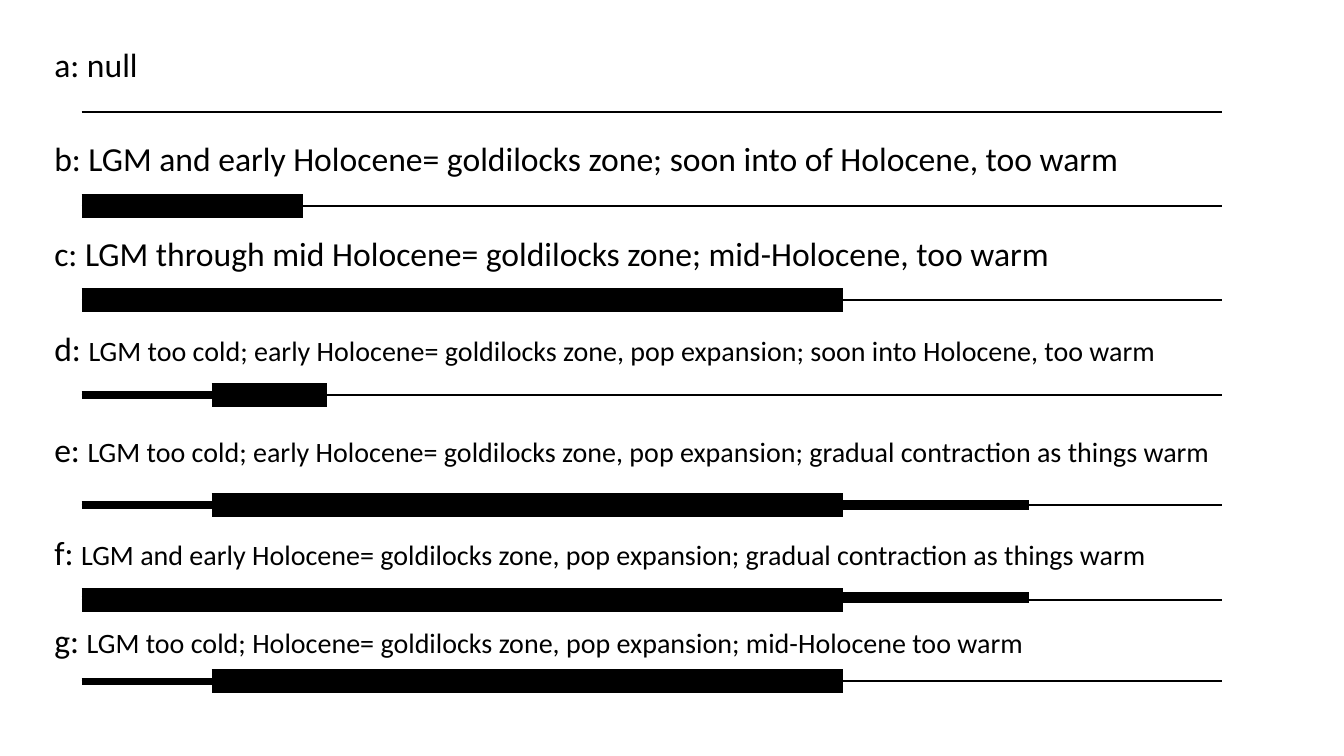
import pptx
import pptx.dml.color
import pptx.enum.shapes
import pptx.enum.text
import pptx.oxml
import pptx.util
from dataclasses import dataclass

Inches = pptx.util.Inches
Pt = pptx.util.Pt


@dataclass(frozen=True)
class Theme:
    font: str = "Calibri"
    ink: pptx.dml.color.RGBColor = pptx.dml.color.RGBColor(0, 0, 0)
    large: int = 24
    small: int = 20
    baseline: float = 1.5
    cold: float = 5.5
    contraction: float = 7.5
    goldilocks: float = 17.25


THEME = Theme()
LEFT, RIGHT = 0.81, 12.12
EARLY, COLD_END, MID, LATE = 2.1, 3.01, 8.36, 10.21

BASE = (LEFT, RIGHT, THEME.baseline, 0)
COLD = (LEFT, COLD_END, THEME.cold, 0)
WARM_EARLY = (LEFT, COLD_END, THEME.goldilocks, 0)
WARM_TO_MID = (LEFT, MID, THEME.goldilocks, 0)
SHORT_EXPANSION = (EARLY, 3.24, THEME.goldilocks, 0)
LONG_EXPANSION = (EARLY, MID, THEME.goldilocks, 0)
CONTRACTION = (8, LATE, THEME.contraction, 0)
RAISED_CONTRACTION = (8, LATE, THEME.contraction, -0.02)

SCENARIOS = [
    (0.39, 1.52, ["a: null"], 1.11, [BASE]),
    (1.32, 11.54,
     ["b: LGM and early Holocene= goldilocks zone; soon into of Holocene, too warm"],
     2.04, [BASE, WARM_EARLY]),
    (2.26, 11.9,
     ["c: LGM through mid Holocene= goldilocks zone; mid-Holocene, too warm"],
     2.98, [BASE, WARM_TO_MID]),
    (3.2, 13.02,
     ["d: ", "LGM too cold; early Holocene= goldilocks zone, pop expansion; "
             "soon into Holocene, too warm"],
     3.92, [BASE, SHORT_EXPANSION, COLD]),
    (4.21, 13.94,
     ["e: ", "LGM too cold; early Holocene= goldilocks zone, pop expansion; "
             "gradual contraction as things warm"],
     5.01, [BASE, LONG_EXPANSION, COLD, CONTRACTION]),
    (5.23, 13.02,
     ["f: ", "LGM and early Holocene= goldilocks zone, pop expansion; "
             "gradual contraction as things warm"],
     5.95, [BASE, WARM_TO_MID, COLD, RAISED_CONTRACTION]),
    (6.1, 13.02,
     ["g: ", "LGM too cold; Holocene= goldilocks zone, pop expansion; "
             "mid-Holocene too warm"],
     6.76, [BASE, LONG_EXPANSION, COLD]),
]


class SlideBuilder:
    def __init__(self, slide, theme):
        self.s = slide
        self.theme = theme

    def label(self, top, width, parts):
        box = self.s.shapes.add_textbox(Inches(0.44), Inches(top), Inches(width), Inches(0.5))
        tf = box.text_frame
        tf.word_wrap = True
        tf.auto_size = pptx.enum.text.MSO_AUTO_SIZE.SHAPE_TO_FIT_TEXT
        p = tf.paragraphs[0]
        for text, size in zip(parts, (self.theme.large, self.theme.small)):
            r = p.add_run()
            r.text = text
            r.font.name = self.theme.font
            r.font.size = Pt(size)
            r.font.color.rgb = self.theme.ink

    def line(self, start, end, y, weight):
        line = self.s.shapes.add_connector(
            pptx.enum.shapes.MSO_CONNECTOR.STRAIGHT,
            Inches(start), Inches(y), Inches(end), Inches(y))
        line.line.color.rgb = self.theme.ink
        line.line.width = Pt(weight)
        sp_pr = line._element.spPr
        sp_pr.append(pptx.oxml.parse_xml(
            '<a:effectLst xmlns:a="http://schemas.openxmlformats.org/drawingml/2006/main"/>'))


def main():
    prs = pptx.Presentation()
    prs.slide_width = Inches(13.33)
    prs.slide_height = Inches(7.5)
    builder = SlideBuilder(prs.slides.add_slide(prs.slide_layouts[6]), THEME)
    for top, width, parts, y, bands in SCENARIOS:
        builder.label(top, width, parts)
        for start, end, weight, shift in bands:
            builder.line(start, end, y + shift, weight)
    prs.save("out.pptx")


if __name__ == "__main__":
    main()
